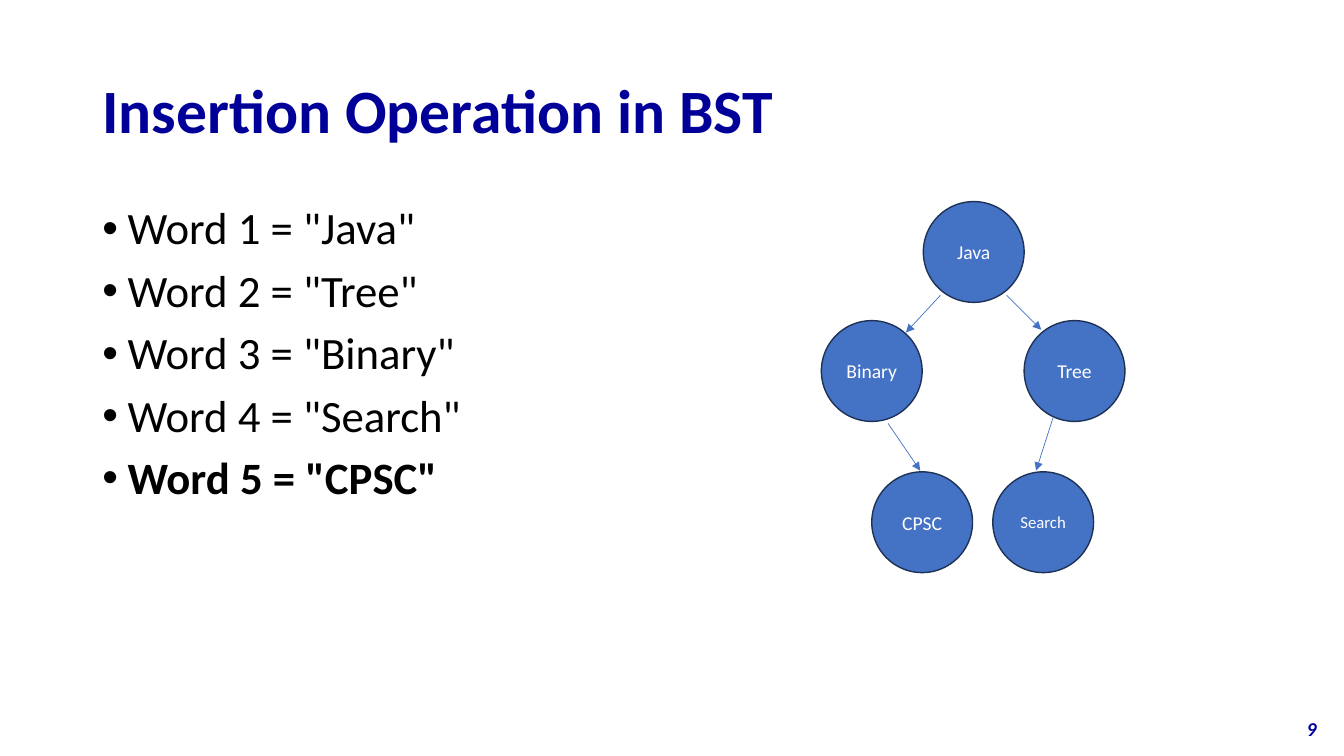
from dataclasses import dataclass

from lxml.etree import SubElement
from pptx import Presentation
from pptx.dml.color import RGBColor
from pptx.enum.shapes import MSO_CONNECTOR as Connector, MSO_SHAPE as Shape
from pptx.enum.text import MSO_ANCHOR as Anchor, PP_ALIGN as Align
from pptx.oxml.ns import qn
from pptx.util import Cm, Pt


@dataclass(frozen=True)
class Theme:
    font: str = "Calibri"
    navy: str = "000099"
    black: str = "000000"
    white: str = "FFFFFF"
    node_fill: str = "4472C4"
    node_line: str = "1E3256"
    title_size: int = 44
    word_size: int = 32
    node_size: int = 14
    small_node_size: int = 12
    number_size: int = 14


THEME = Theme()
NODE_DIAMETER = 2.54
TOP_ROW, MIDDLE_ROW, BOTTOM_ROW = 5.08, 8.08, 11.89

WORDS = ["Java", "Tree", "Binary", "Search", "CPSC"]

# Word, left, top, text size
NODES = [
    ("Java", 23.27, TOP_ROW, THEME.node_size),
    ("Tree", 25.81, MIDDLE_ROW, THEME.node_size),
    ("Binary", 20.7, MIDDLE_ROW, THEME.node_size),
    ("Search", 25.02, BOTTOM_ROW, THEME.small_node_size),
    ("CPSC", 21.97, BOTTOM_ROW, THEME.node_size),
]

# Start and end of each arrow from parent to child
BRANCHES = [
    ((25.37, 7.44), (26.24, 8.31)),  # Java to Tree
    ((23.7, 7.44), (22.83, 8.38)),  # Java to Binary
    ((26.54, 10.52), (26.11, 11.86)),  # Tree to Search
    ((22.38, 10.67), (23.19, 11.86)),  # Binary to CPSC
]


def color(value):
    return RGBColor.from_string(value)


def write_text(paragraph, text, *, size, ink, bold=False, italic=False,
               align=Align.LEFT, line_spacing=1.0, space_before=0):
    paragraph.alignment = align
    paragraph.line_spacing = line_spacing
    paragraph.space_before = Pt(space_before)
    run = paragraph.add_run()
    run.text = text
    run.font.name = THEME.font
    run.font.size = Pt(size)
    run.font.bold = bold
    run.font.italic = italic
    run.font.color.rgb = color(ink)


def add_bullet(paragraph):
    properties = paragraph._p.get_or_add_pPr()
    properties.set("marL", str(Cm(0.635)))
    properties.set("indent", str(-Cm(0.635)))
    SubElement(properties, qn("a:buFont"), typeface="Arial")
    SubElement(properties, qn("a:buChar"), char="•")


def add_text_frame(slide, left, top, width, height, anchor=Anchor.TOP):
    frame = slide.shapes.add_textbox(
        Cm(left), Cm(top), Cm(width), Cm(height)).text_frame
    frame.word_wrap = True
    frame.vertical_anchor = anchor
    return frame


def set_title(slide, text):
    title = slide.shapes.title
    title.left, title.top = Cm(2.33), Cm(1.01)
    title.width, title.height = Cm(29.21), Cm(3.68)
    title.text_frame.vertical_anchor = Anchor.MIDDLE
    write_text(title.text_frame.paragraphs[0], text, size=THEME.title_size,
               ink=THEME.navy, bold=True, line_spacing=0.9)


def add_word_list(slide):
    frame = add_text_frame(slide, 2.33, 5.07, 17, 12.65)
    for number, word in enumerate(WORDS, start=1):
        line = frame.paragraphs[0] if number == 1 else frame.add_paragraph()
        write_text(line, f'Word {number} = "{word}"', size=THEME.word_size,
                   ink=THEME.black, bold=number == len(WORDS),
                   line_spacing=0.9, space_before=10)
        add_bullet(line)


def add_node(slide, word, left, top, size):
    node = slide.shapes.add_shape(Shape.OVAL, Cm(left), Cm(top),
                                  Cm(NODE_DIAMETER), Cm(NODE_DIAMETER))
    node.shadow.inherit = False
    node.fill.solid()
    node.fill.fore_color.rgb = color(THEME.node_fill)
    node.line.color.rgb = color(THEME.node_line)
    node.line.width = Pt(1)
    node.text_frame.word_wrap = False
    node.text_frame.vertical_anchor = Anchor.MIDDLE
    write_text(node.text_frame.paragraphs[0], word, size=size,
               ink=THEME.white, align=Align.CENTER)


def add_branch(slide, start, end):
    branch = slide.shapes.add_connector(
        Connector.STRAIGHT, *(Cm(value) for value in start + end))
    branch.line.color.rgb = color(THEME.node_fill)
    branch.line.width = Pt(0.5)
    SubElement(branch.line._get_or_add_ln(), qn("a:tailEnd"), type="triangle")
    SubElement(branch._element.spPr, qn("a:effectLst"))


def add_slide_number(slide, number):
    frame = add_text_frame(slide, 25.81, 17.86, 7.62, 1.01, Anchor.MIDDLE)
    write_text(frame.paragraphs[0], number, size=THEME.number_size,
               ink=THEME.navy, bold=True, italic=True, align=Align.RIGHT)


def main():
    deck = Presentation()
    deck.slide_width, deck.slide_height = Cm(33.87), Cm(19.05)
    slide = deck.slides.add_slide(deck.slide_layouts.get_by_name("Title Only"))

    # Title, words to insert and page number
    set_title(slide, "Insertion Operation in BST")
    add_word_list(slide)
    add_slide_number(slide, "9")

    # Binary search tree
    for node in NODES:
        add_node(slide, *node)
    for start, end in BRANCHES:
        add_branch(slide, start, end)

    deck.save("out.pptx")


if __name__ == "__main__":
    main()
